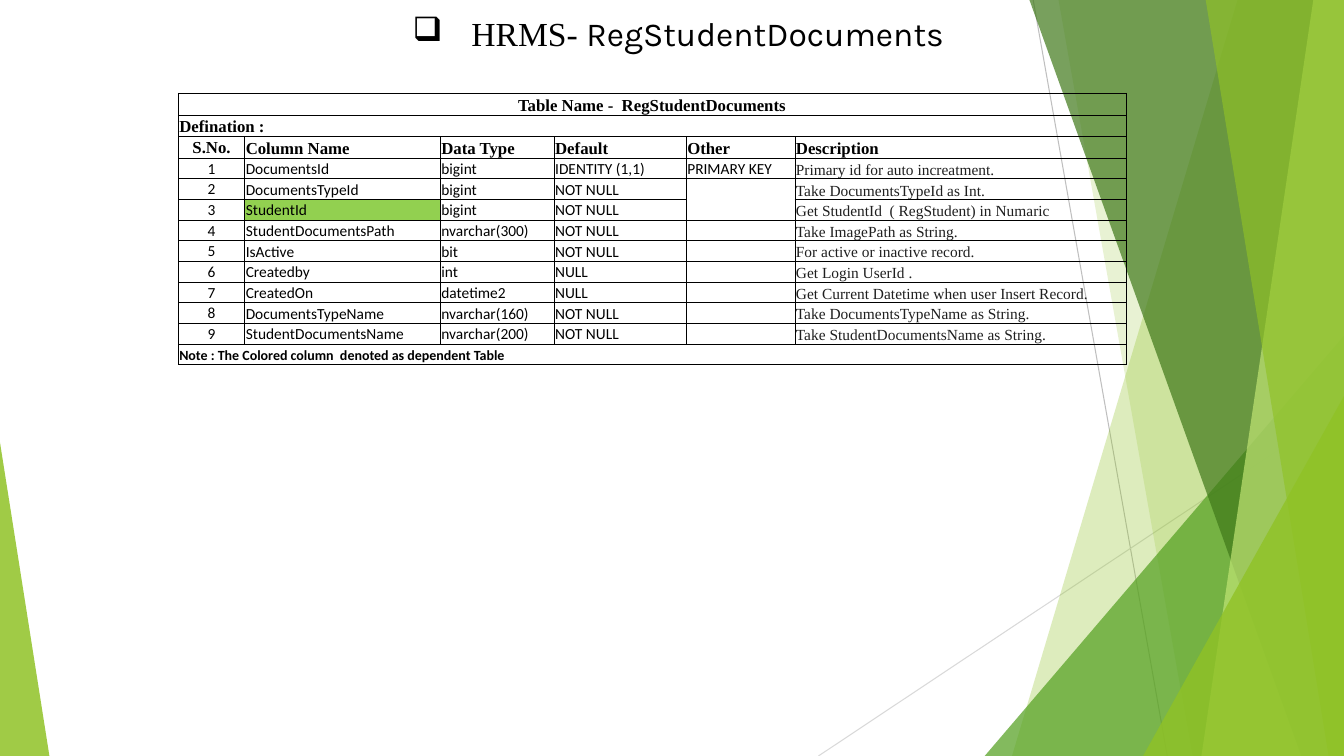
from dataclasses import dataclass

from lxml import etree
from pptx import Presentation
from pptx.dml.color import RGBColor
from pptx.enum.shapes import MSO_CONNECTOR, MSO_SHAPE
from pptx.enum.text import MSO_ANCHOR, MSO_AUTO_SIZE, PP_ALIGN
from pptx.oxml.ns import qn
from pptx.util import Pt

STRAIGHT = MSO_CONNECTOR.STRAIGHT
TRIANGLE = MSO_SHAPE.ISOSCELES_TRIANGLE
LEFT, CENTER = PP_ALIGN.LEFT, PP_ALIGN.CENTER
MIDDLE, BOTTOM = MSO_ANCHOR.MIDDLE, MSO_ANCHOR.BOTTOM
GROW = MSO_AUTO_SIZE.SHAPE_TO_FIT_TEXT


@dataclass(frozen=True)
class Theme:
    black: str = "000000"
    ink: str = "1F1F1F"
    lime: str = "90C226"
    leaf: str = "54A021"
    forest: str = "3F7819"
    pale: str = "C0E474"
    highlight: str = "92D050"
    dark_rule: str = "BFBFBF"
    light_rule: str = "D9D9D9"
    serif: str = "Times New Roman"
    sans: str = "Calibri"
    display: str = "Karla"
    title: int = 24
    heading: int = 12
    body: int = 11
    note: int = 10


THEME = Theme()
WIDTH, HEIGHT, BLEED = 960, 540, -0.7
COLUMN_WIDTHS = (47.5, 139.7, 81.3, 94.4, 77.6, 236.4)
HEADING_HEIGHTS = (15.7, 15.1, 15.6)
ROW_HEIGHT = 14.75
HEADINGS = ("S.No.", "Column Name", "Data Type", "Default", "Other", "Description")
OTHER, DESCRIPTION = 4, 5
FIELDS = (
    ("DocumentsId", "bigint", "IDENTITY (1,1)", "PRIMARY KEY", "Primary id for auto increatment."),
    ("DocumentsTypeId", "bigint", "NOT NULL", "", "Take DocumentsTypeId as Int."),
    ("StudentId", "bigint", "NOT NULL", "", "Get StudentId  ( RegStudent) in Numaric"),
    ("StudentDocumentsPath", "nvarchar(300)", "NOT NULL", "", "Take ImagePath as String."),
    ("IsActive", "bit", "NOT NULL", "", "For active or inactive record."),
    ("Createdby", "int", "NULL", "", "Get Login UserId ."),
    ("CreatedOn", "datetime2", "NULL", "", "Get Current Datetime when user Insert Record."),
    ("DocumentsTypeName", "nvarchar(160)", "NOT NULL", "", "Take DocumentsTypeName as String."),
    ("StudentDocumentsName", "nvarchar(200)", "NOT NULL", "", "Take StudentDocumentsName as String."),
)
OPEN_SIDES = {(4, OTHER): "B", (5, OTHER): "T"}


def add_text(para, text, *, size, font, color=THEME.black, bold=False, align=LEFT):
    para.alignment = align
    if not text:
        para._p.get_or_add_endParaRPr().set("sz", str(size * 100))
        return
    span = para.add_run()
    span.text = text
    span.font.size = Pt(size)
    span.font.name = font
    span.font.bold = bold
    span.font.color.rgb = RGBColor.from_string(color)


def paint(shape, color, opacity):
    shape.shadow.inherit = False
    shape.line.fill.background()
    shape.fill.solid()
    shape.fill.fore_color.rgb = RGBColor.from_string(color)
    tint = shape._element.spPr.find(qn("a:solidFill"))[0]
    etree.SubElement(tint, qn("a:alpha")).set("val", str(opacity * 1000))


def add_rule(page, start, end, color):
    rule = page.shapes.add_connector(STRAIGHT, *map(Pt, start + end))
    rule.line.color.rgb = RGBColor.from_string(color)
    rule.line.width = Pt(0.75)
    etree.SubElement(rule._element.spPr, qn("a:effectLst"))


def add_band(page, top_x, bottom_x, color, opacity):
    outline = page.shapes.build_freeform(Pt(top_x), Pt(BLEED))
    corners = ((WIDTH, BLEED), (WIDTH, HEIGHT), (bottom_x, HEIGHT))
    outline.add_line_segments([(Pt(x), Pt(y)) for x, y in corners])
    paint(outline.convert_to_shape(), color, opacity)


def add_triangle(page, left, top, width, apex, color, opacity):
    shape = page.shapes.add_shape(TRIANGLE, Pt(left), Pt(top), Pt(width), Pt(HEIGHT - top))
    shape.adjustments[0] = apex
    paint(shape, color, opacity)


def add_backdrop(page):
    add_rule(page, (738, 0), (833.8, HEIGHT), THEME.dark_rule)
    add_rule(page, (WIDTH, 290.2), (584.6, HEIGHT), THEME.light_rule)
    add_band(page, 884.2, 722.9, THEME.lime, 30)
    add_band(page, 756, 851.8, THEME.lime, 20)
    add_triangle(page, 703.4, 239.8, WIDTH - 703.4, 1, THEME.leaf, 72)
    add_band(page, 735.1, 929.5, THEME.forest, 70)
    add_band(page, 938.2, 858.2, THEME.pale, 70)
    add_band(page, 861.1, 949, THEME.lime, 65)
    add_triangle(page, 816.5, 283, WIDTH - 816.5, 1, THEME.lime, 80)
    add_triangle(page, 0, 316.1, 35.3, 0, THEME.lime, 85)


def add_title(page):
    box = page.shapes.add_textbox(Pt(116.6), Pt(5.8), Pt(591.8), Pt(36))
    frame = box.text_frame
    frame.word_wrap = True
    frame.auto_size = GROW
    para = frame.paragraphs[0]
    properties = para._p.get_or_add_pPr()
    properties.set("marL", str(Pt(180)))
    properties.set("indent", str(Pt(-36)))
    etree.SubElement(properties, qn("a:buChar")).set("char", "❑")
    add_text(para, " HRMS- ", size=THEME.title, font=THEME.serif, align=CENTER)
    add_text(para, "RegStudentDocuments", size=THEME.title, font=THEME.display, align=CENTER)


def add_borders(cell, open_side):
    properties = cell._tc.get_or_add_tcPr()
    for side in "LRTB":
        border = etree.SubElement(properties, qn(f"a:ln{side}"), w=str(Pt(0.5)))
        if side == open_side:
            etree.SubElement(border, qn("a:noFill"))
        else:
            fill = etree.SubElement(border, qn("a:solidFill"))
            etree.SubElement(fill, qn("a:srgbClr")).set("val", THEME.black)


def prepare_cell(cell, open_side):
    cell.margin_left = cell.margin_right = cell.margin_top = Pt(0.7)
    cell.margin_bottom = 0
    cell.vertical_anchor = BOTTOM
    add_borders(cell, open_side)
    cell.fill.background()


def fill_cell(cell, text, **style):
    add_text(cell.text_frame.paragraphs[0], text, **style)


def add_schema_table(page):
    heights = HEADING_HEIGHTS + (ROW_HEIGHT,) * (len(FIELDS) + 1)
    frame = page.shapes.add_table(len(heights), len(COLUMN_WIDTHS), Pt(127.4), Pt(66.6),
                                  Pt(sum(COLUMN_WIDTHS)), Pt(sum(heights)))
    table = frame.table
    table.first_row = table.horz_banding = False
    for column, width in zip(table.columns, COLUMN_WIDTHS):
        column.width = Pt(width)
    for r, height in enumerate(heights):
        table.rows[r].height = Pt(height)
        for c in range(len(COLUMN_WIDTHS)):
            prepare_cell(table.cell(r, c), OPEN_SIDES.get((r, c)))

    heading = dict(size=THEME.heading, font=THEME.serif, bold=True)
    note = dict(size=THEME.note, font=THEME.sans, bold=True)
    last = len(heights) - 1
    for r, text, style in (
        (0, "Table Name -  RegStudentDocuments", dict(heading, align=CENTER)),
        (1, "Defination :", heading),
        (last, "Note : The Colored column  denoted as dependent Table", note),
    ):
        table.cell(r, 0).merge(table.cell(r, DESCRIPTION))
        fill_cell(table.cell(r, 0), text, **style)

    records = [(str(number), *field) for number, field in enumerate(FIELDS, 1)]
    for r, record in enumerate([HEADINGS, *records], 2):
        table.cell(r, 0).vertical_anchor = MIDDLE
        for c, text in enumerate(record):
            style = dict(size=THEME.body, font=THEME.sans)
            if record is HEADINGS:
                style = heading
            elif c == DESCRIPTION:
                style = dict(size=THEME.body, font=THEME.serif, color=THEME.ink)
            fill_cell(table.cell(r, c), text, align=LEFT if c else CENTER, **style)
            if text == "StudentId":
                table.cell(r, c).fill.solid()
                table.cell(r, c).fill.fore_color.rgb = RGBColor.from_string(THEME.highlight)


def main():
    deck = Presentation()
    deck.slide_width, deck.slide_height = Pt(WIDTH), Pt(HEIGHT)
    page = deck.slides.add_slide(deck.slide_layouts[6])
    add_backdrop(page)
    add_title(page)
    add_schema_table(page)
    deck.save("out.pptx")


if __name__ == "__main__":
    main()
